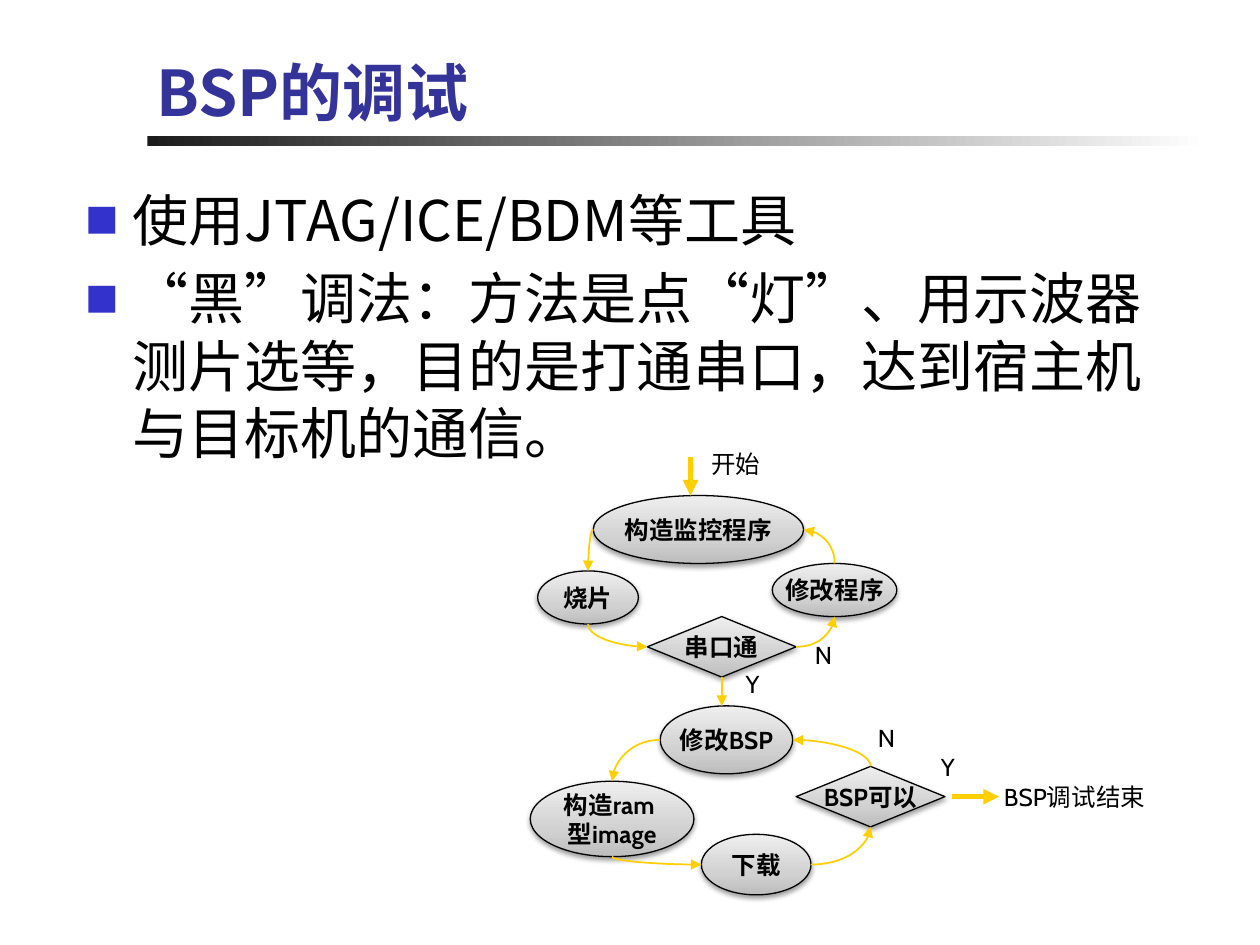
from dataclasses import dataclass

from lxml.etree import SubElement
from pptx import Presentation
from pptx.dml.color import RGBColor
from pptx.enum.shapes import MSO_CONNECTOR, MSO_SHAPE
from pptx.enum.text import MSO_ANCHOR, PP_ALIGN
from pptx.oxml.ns import qn
from pptx.util import Cm, Pt


@dataclass(frozen=True)
class Theme:
    title: str = "333399"
    bullet: str = "3333CC"
    ink: str = "000000"
    arrow: str = "FFCF01"
    bar: tuple = ((0, "1C1C1C"), (100, "FFFFFF"))
    node: tuple = ((0, "BDBDBD"), (35, "D1D1D1"), (100, "EEEEEE"))
    cjk: str = "Noto Sans CJK SC"
    latin: str = "Cabin"
    title_size: int = 36
    body_size: int = 32
    node_size: int = 14


T = Theme()


def add_xml(parent, tag, **attrs):
    """Append a DrawingML child with the given attributes."""
    return SubElement(parent, qn(f"a:{tag}"), {k: str(v) for k, v in attrs.items()})


def place(sp, box):
    sp.left, sp.top, sp.width, sp.height = (Cm(v) for v in box)


def set_text(tf, text, size=T.node_size, font=T.latin, color=T.ink, bold=False,
             align=PP_ALIGN.LEFT, anchor=MSO_ANCHOR.TOP, wrap=False, inset=None):
    tf.word_wrap = wrap
    tf.vertical_anchor = anchor
    if inset is not None:
        tf.margin_left = tf.margin_right = tf.margin_top = tf.margin_bottom = Cm(inset)
    for i, line in enumerate(text.split("\n")):
        p = tf.paragraphs[0] if i == 0 else tf.add_paragraph()
        p.alignment = align
        r = p.add_run()
        r.text = line
        r.font.size = Pt(size)
        r.font.name = font
        r.font.bold = bold
        r.font.color.rgb = RGBColor.from_string(color)
        add_xml(r._r.get_or_add_rPr(), "ea", typeface=T.cjk)


def set_gradient(sp, stops, angle):
    sp.fill.gradient()
    grad = sp._element.spPr.find(qn("a:gradFill"))
    for child in list(grad):
        grad.remove(child)
    gs_list = add_xml(grad, "gsLst")
    for pos, color in stops:
        add_xml(add_xml(gs_list, "gs", pos=pos * 1000), "srgbClr", val=color)
    add_xml(grad, "lin", ang=angle * 60000, scaled=0)


def add_title(s, text, box):
    """Title with the fading rule beneath it."""
    left, top, width, height = box
    bar = s.shapes.add_shape(MSO_SHAPE.RECTANGLE, Cm(left + 0.07), Cm(top + height),
                             Cm(width + 0.07), Cm(0.2))
    bar.shadow.inherit = False
    bar.line.fill.background()
    set_gradient(bar, T.bar, 0)
    place(s.shapes.title, box)
    set_text(s.shapes.title.text_frame, text, size=T.title_size, font=T.cjk,
             color=T.title, bold=True, anchor=MSO_ANCHOR.BOTTOM, wrap=True)


def add_bullets(s, items, box):
    """Body list with small square bullets."""
    body = s.placeholders[1]
    place(body, box)
    set_text(body.text_frame, "\n".join(items), size=T.body_size, font=T.cjk, wrap=True)
    for p in body.text_frame.paragraphs:
        pPr = p._p.get_or_add_pPr()
        add_xml(add_xml(pPr, "buClr"), "srgbClr", val=T.bullet)
        add_xml(pPr, "buSzPct", val=60000)
        add_xml(pPr, "buFont", typeface=T.cjk)
        add_xml(pPr, "buChar", char="■")


def add_node(s, text, kind, box):
    sp = s.shapes.add_shape(kind, *(Cm(v) for v in box))
    set_gradient(sp, T.node, 270)
    sp.line.color.rgb = RGBColor.from_string(T.ink)
    sp.line.width = Pt(0.75)
    sp.shadow.inherit = False
    shadow = add_xml(sp._element.spPr.find(qn("a:effectLst")), "outerShdw",
                     blurRad=Pt(3.1), dist=Pt(1.6), dir=90 * 60000, rotWithShape=0)
    add_xml(add_xml(shadow, "srgbClr", val=T.ink), "alpha", val=38000)
    set_text(sp.text_frame, text, bold=True, align=PP_ALIGN.CENTER,
             anchor=MSO_ANCHOR.MIDDLE)
    return sp


def add_arrow(s, start, end, width=1.0, kind=MSO_CONNECTOR.STRAIGHT):
    c = s.shapes.add_connector(kind, *(int(v) for v in (*start, *end)))
    c.line.color.rgb = RGBColor.from_string(T.arrow)
    c.line.width = Pt(width)
    add_xml(c.line._get_or_add_ln(), "tailEnd", type="triangle")
    add_xml(c._element.spPr, "effectLst")
    return c


def side_point(sp, side):
    fx, fy = {"top": (0.5, 0), "left": (0, 0.5),
              "bottom": (0.5, 1), "right": (1, 0.5)}[side]
    return sp.left + fx * sp.width, sp.top + fy * sp.height


def add_curve(s, a, a_side, b, b_side):
    """Quarter-turn arrow that leaves square to the side it starts from."""
    (x1, y1), (x2, y2) = side_point(a, a_side), side_point(b, b_side)
    turn = 0
    if a_side in ("top", "bottom"):
        # The preset leaves sideways, so its box is laid out flat, then turned
        turn = 90 if y2 > y1 else 270
        mx, my = (x1 + x2) / 2, (y1 + y2) / 2
        half_w, half_h = abs(y2 - y1) / 2, abs(x2 - x1) / 2
        if (x2 - x1) * (y2 - y1) > 0:
            half_h = -half_h
        x1, y1, x2, y2 = mx - half_w, my - half_h, mx + half_w, my + half_h
    c = add_arrow(s, (x1, y1), (x2, y2), kind=MSO_CONNECTOR.CURVE)
    spPr = c._element.spPr
    spPr.find(qn("a:prstGeom")).set("prst", "curvedConnector2")
    if turn:
        spPr.find(qn("a:xfrm")).set("rot", str(turn * 60000))


def add_flowchart(s, left, top):
    """Debugging loop, placed from its top left corner."""
    def at(x, y):
        return Cm(left + x), Cm(top + y)

    oval, choice = MSO_SHAPE.OVAL, MSO_SHAPE.FLOWCHART_DECISION
    layout = {
        "monitor": ("构造监控程序", oval, 1.27, 1.07, 4.24, 1.37),
        "burn": ("烧片", oval, 0.15, 2.59, 2.03, 1.07),
        "bsp_ok": ("BSP可以", choice, 5.36, 6.53, 3, 1.22),
        "fix_code": ("修改程序", oval, 4.88, 2.44, 2.51, 1.07),
        "fix_bsp": ("修改BSP", oval, 2.62, 5.31, 2.67, 1.37),
        "image": ("构造ram \n型image", oval, 0, 6.83, 3.3, 1.52),
        "download": ("下载", oval, 3.45, 7.9, 2.21, 1.22),
        "serial_ok": ("串口通", choice, 2.36, 3.51, 3, 1.22),
    }
    nodes = {name: add_node(s, text, kind, (left + x, top + y, w, h))
             for name, (text, kind, x, y, w, h) in layout.items()}

    # Curved flow between nodes
    for a, a_side, b, b_side in (
            ("monitor", "left", "burn", "top"),
            ("burn", "bottom", "serial_ok", "left"),
            ("serial_ok", "right", "fix_code", "bottom"),
            ("fix_code", "top", "monitor", "right"),
            ("fix_bsp", "left", "image", "top"),
            ("image", "bottom", "download", "left"),
            ("download", "right", "bsp_ok", "bottom"),
            ("bsp_ok", "top", "fix_bsp", "right")):
        add_curve(s, nodes[a], a_side, nodes[b], b_side)

    # Straight flow: entry, exit and the step down
    add_arrow(s, at(3.23, 0.3), at(3.23, 1.07), width=3)
    add_arrow(s, at(8.51, 7.14), at(9.45, 7.14), width=3)
    x, y = side_point(nodes["serial_ok"], "bottom")
    down = add_arrow(s, (x, y), (x, nodes["fix_bsp"].top))
    down.begin_connect(nodes["serial_ok"], 2)

    # Labels
    for text, x, y, w, h, wrap, inset in (
            ("开始", 3.4, 0, 1.5, 0.86, False, None),
            ("BSP调试结束", 9.3, 6.73, 3.35, 0.86, True, None),
            ("N", 5.74, 3.99, 0.33, 0.61, False, 0),
            ("Y", 4.34, 4.57, 0.28, 0.61, False, 0),
            ("N", 7.01, 5.66, 0.33, 0.61, False, 0),
            ("Y", 8.28, 6.25, 0.28, 0.61, False, 0)):
        tb = s.shapes.add_textbox(*at(x, y), Cm(w), Cm(h))
        set_text(tb.text_frame, text, wrap=wrap, inset=inset)


def main():
    prs = Presentation()
    prs.slide_width, prs.slide_height = Cm(25.4), Cm(19.05)
    s = prs.slides.add_slide(prs.slide_layouts[1])
    add_title(s, "BSP的调试", (2.9, 0.84, 21.29, 1.9))
    add_bullets(s, ("使用JTAG/ICE/BDM等工具",
                    "“黑”调法：方法是点“灯”、用示波器测片选等，"
                    "目的是打通串口，达到宿主机与目标机的通信。"),
                (1.47, 3.61, 22.43, 13.77))
    add_flowchart(s, 10.69, 8.92)
    prs.save("out.pptx")


if __name__ == "__main__":
    main()
